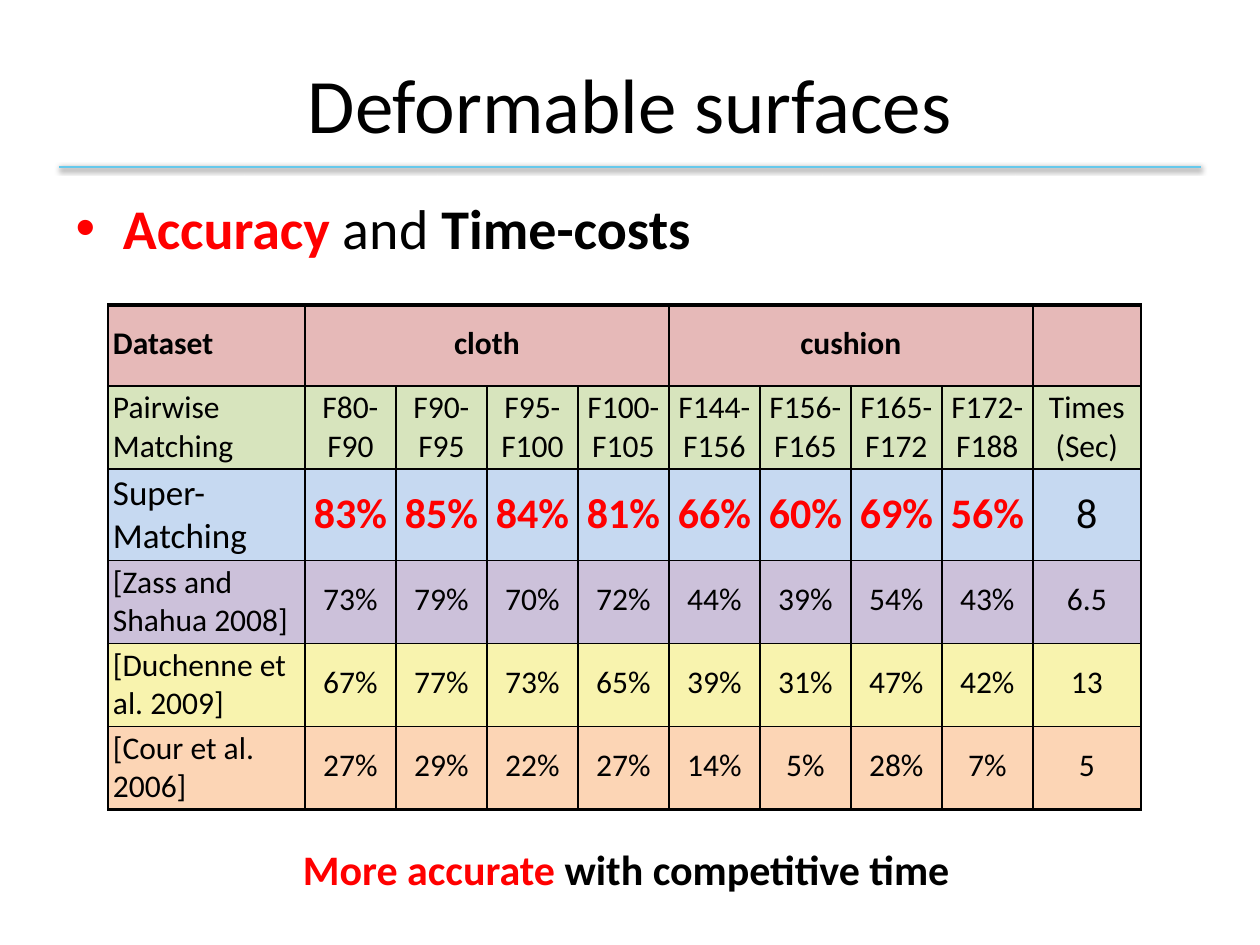
from dataclasses import dataclass
from typing import NamedTuple

from lxml import etree
from pptx import Presentation
from pptx.dml.color import RGBColor
from pptx.enum.shapes import MSO_CONNECTOR
from pptx.enum.text import MSO_ANCHOR, PP_ALIGN
from pptx.oxml.ns import qn
from pptx.util import Emu, Pt

LEFT, MID = PP_ALIGN.LEFT, PP_ALIGN.CENTER
TOP, CENTER = MSO_ANCHOR.TOP, MSO_ANCHOR.MIDDLE
STRAIGHT = MSO_CONNECTOR.STRAIGHT

FONT = "Calibri"
HUES = {
    "black": "000000", "red": "FF0000", "rule": "66C9EC",
    "rose": "E6B9B8", "green": "D7E4BD", "blue": "C6D9F1",
    "plum": "CCC1DA", "straw": "F8F3AE", "peach": "FCD5B5",
}


class Run(NamedTuple):
    text: str
    hue: str = "black"
    bold: bool = False


@dataclass
class Row:
    fill: str
    label: str
    cells: list[str]
    size: int = 18
    big: int = 18
    hue: str = "black"
    bold: bool = False
    head: bool = False
    pad: int = 20


ROWS = [
    Row("rose", "Dataset", ["cloth", "", "", "", "cushion", "", "", "", ""],
        bold=True, head=True),
    Row("green", "Pairwise\nMatching",
        ["F80-\nF90", "F90-\nF95", "F95-\nF100", "F100-\nF105", "F144-\nF156",
         "F156-\nF165", "F165-\nF172", "F172-\nF188", "Times\n(Sec)"], pad=3),
    Row("blue", "Super-Matching",
        ["83%", "85%", "84%", "81%", "66%", "60%", "69%", "56%", "8"],
        size=20, big=24, hue="red", bold=True),
    Row("plum", "[Zass and Shahua 2008]",
        ["73%", "79%", "70%", "72%", "44%", "39%", "54%", "43%", "6.5"]),
    Row("straw", "[Duchenne et al. 2009]",
        ["67%", "77%", "73%", "65%", "39%", "31%", "47%", "42%", "13"]),
    Row("peach", "[Cour et al. 2006]",
        ["27%", "29%", "22%", "27%", "14%", "5%", "28%", "7%", "5"]),
]
WIDTHS = [197] + [91] * 8 + [108]
HEIGHT = 81
GROUPS = [(1, 4), (5, 8)]
# Widths in points of the grid lines that are not THIN, by line index
THIN = 1
DOWN = {1: 1.5, 5: 1.5, 9: 1.5}
ACROSS = {0: 2.25, 2: 1.5, 6: 2.25}


def px(n: int) -> Emu:
    return Emu(round(n * 914400 / 126))


def tint(name: str) -> RGBColor:
    return RGBColor.from_string(HUES[name])


def place(shape, x: int, y: int, w: int, h: int) -> None:
    shape.left, shape.top, shape.width, shape.height = map(px, (x, y, w, h))


def write(frame, lines: list[list[Run]], *, size: int, align=LEFT,
          anchor=TOP) -> None:
    """Fill a text frame with one paragraph for each list of runs."""
    frame.word_wrap = True
    frame.vertical_anchor = anchor
    for i, runs in enumerate(lines):
        para = frame.add_paragraph() if i else frame.paragraphs[0]
        para.alignment = align
        para.space_before = Pt(0)
        for part in runs:
            run = para.add_run()
            run.text = part.text
            font = run.font
            font.name, font.size, font.bold = FONT, Pt(size), part.bold
            font.color.rgb = tint(part.hue)


def edge(cell, side: str, width: float) -> None:
    line = etree.SubElement(cell._tc.get_or_add_tcPr(), qn(f"a:ln{side}"),
                            w=str(Pt(width)))
    fill = etree.SubElement(line, qn("a:solidFill"))
    etree.SubElement(fill, qn("a:srgbClr"), val=HUES["black"])


def draw_cell(cell, row: Row, r: int, c: int) -> None:
    if not cell.is_spanned:
        span = cell.span_width if cell.is_merge_origin else 1
        edge(cell, "L", DOWN.get(c, THIN))
        edge(cell, "R", DOWN.get(c + span, THIN))
        edge(cell, "T", ACROSS.get(r, THIN))
        edge(cell, "B", ACROSS.get(r + 1, THIN))
    cell.fill.solid()
    cell.fill.fore_color.rgb = tint(row.fill)
    first, last = c == 0, c == len(WIDTHS) - 1
    text = row.label if first else row.cells[c - 1]
    if not text:
        return
    cell.margin_left = cell.margin_right = px(5 if first else 3)
    cell.margin_top = px(3 if first and not row.head else row.pad)
    cell.margin_bottom = px(3)
    cell.vertical_anchor = TOP
    plain = (first or last) and not row.head
    hue, bold = ("black", False) if plain else (row.hue, row.bold)
    write(cell.text_frame, [[Run(t, hue, bold)] for t in text.split("\n")],
          size=row.size if first else row.big, align=LEFT if first else MID)


def draw_table(slide, x: int, y: int) -> None:
    table = slide.shapes.add_table(
        len(ROWS), len(WIDTHS), px(x), px(y),
        px(sum(WIDTHS)), px(HEIGHT * len(ROWS))).table
    table.first_row = table.horz_banding = False
    for col, width in zip(table.columns, WIDTHS):
        col.width = px(width)
    for start, end in GROUPS:
        table.cell(0, start).merge(table.cell(0, end))
    for r, row in enumerate(ROWS):
        table.rows[r].height = px(HEIGHT)
        for c in range(len(WIDTHS)):
            draw_cell(table.cell(r, c), row, r, c)


def draw_rule(slide, x: int, y: int, end: int) -> None:
    """Draw the line below the title, with its soft shadow."""
    rule = slide.shapes.add_connector(STRAIGHT, px(x), px(y), px(end), px(y))
    rule.line.color.rgb = tint("rule")
    rule.line.width = Pt(1.5)
    glow = etree.SubElement(rule._element.spPr, qn("a:effectLst"))
    shade = etree.SubElement(glow, qn("a:outerShdw"), blurRad=str(Pt(3.1)),
                             dist=str(Pt(1)), dir="5400000", rotWithShape="0")
    black = etree.SubElement(shade, qn("a:srgbClr"), val=HUES["black"])
    etree.SubElement(black, qn("a:alpha"), val="38000")


def main() -> None:
    deck = Presentation()
    deck.slide_width, deck.slide_height = px(1260), px(945)
    slide = deck.slides.add_slide(deck.slide_layouts[1])
    draw_rule(slide, 59, 167, 1201)

    title, body = slide.placeholders
    place(title, 63, 38, 1134, 130)
    write(title.text_frame, [[Run("Deformable surfaces")]],
          size=44, align=MID, anchor=CENTER)
    place(body, 63, 187, 1134, 84)
    write(body.text_frame, [[Run("Accuracy", "red", True), Run(" and "),
                             Run("Time-costs", bold=True)]], size=32)

    draw_table(slide, 108, 305)

    note = slide.shapes.add_textbox(px(227), px(837), px(808), px(63))
    write(note.text_frame, [[Run("More accurate ", "red", True),
                             Run("with competitive time ", bold=True)]],
          size=24, align=MID)
    deck.save("out.pptx")


if __name__ == "__main__":
    main()
